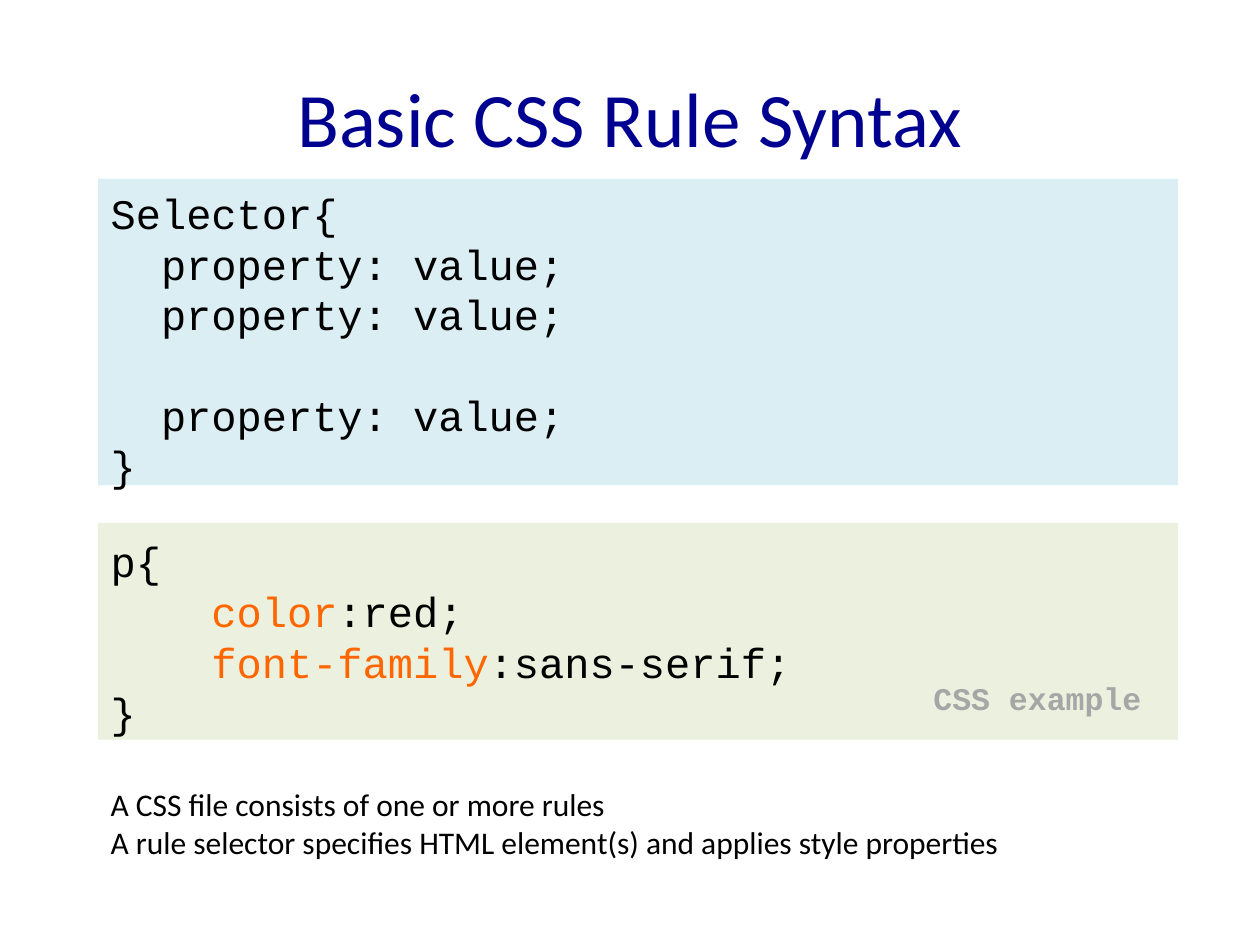
import pptx
import pptx.dml.color
import pptx.enum.shapes
import pptx.enum.text
import pptx.util

Inches = pptx.util.Inches
Pt = pptx.util.Pt
ANCHOR = pptx.enum.text.MSO_ANCHOR
BLACK, ORANGE = "000000", "FF6600"
CODE_LINE = Pt(28.8)
CODE_INDENT = Inches(0.2)  # width of one 24 pt Courier New character


def rgb(value):
    return pptx.dml.color.RGBColor.from_string(value)


def write(shape, lines, color=BLACK, anchor=ANCHOR.TOP, **font_format):
    """Fill a shape with lines, each a list of (text, color or None) runs."""
    frame = shape.text_frame
    frame.word_wrap = True
    frame.vertical_anchor = anchor
    for number, line in enumerate(lines):
        paragraph = frame.paragraphs[0] if number == 0 else frame.add_paragraph()
        paragraph.alignment = pptx.enum.text.PP_ALIGN.LEFT
        for text, run_color in line:
            run = paragraph.add_run()
            run.text = text
            run.font.color.rgb = rgb(run_color or color)
            for name, value in font_format.items():
                setattr(run.font, name, value)
    return frame


presentation = pptx.Presentation()
presentation.slide_width = Inches(10)
presentation.slide_height = Inches(7.5)
slide = presentation.slides.add_slide(presentation.slide_layouts[6])

title = slide.shapes.add_textbox(Inches(0.5), Inches(0.3), Inches(9), Inches(1.25))
title_frame = write(title, [[("Basic CSS Rule Syntax", None)]], "000090",
                    ANCHOR.MIDDLE, name="Calibri", size=Pt(44))
title_frame.paragraphs[0].alignment = pptx.enum.text.PP_ALIGN.CENTER

declaration = [("property: value;", None)]
syntax = [[("Selector{", None)], declaration, declaration, declaration, [("}", None)]]
example = [
    [("p{", None)],
    [("color", ORANGE), (":red;", None)],
    [("font-family", ORANGE), (":sans-serif;", None)],
    [("}", None)],
]

# top, height, fill, top inset, indent in characters, lines
code_panels = [
    (1.42, 2.43, "DBEEF4", 0.07, 2, syntax),
    (4.15, 1.72, "EBF1DE", 0.1, 4, example),
]
code_frames = []
for top, height, fill, inset, indent, lines in code_panels:
    panel = slide.shapes.add_shape(
        pptx.enum.shapes.MSO_SHAPE.RECTANGLE,
        Inches(0.78), Inches(top), Inches(8.57), Inches(height))
    panel.shadow.inherit = False
    panel.fill.solid()
    panel.fill.fore_color.rgb = rgb(fill)
    panel.line.fill.background()
    code = write(panel, lines, name="Courier New", size=Pt(24))
    code.margin_top = Inches(inset)
    code.margin_bottom = 0
    for paragraph in code.paragraphs:
        paragraph.line_spacing = CODE_LINE
    for paragraph in code.paragraphs[1:-1]:
        paragraph._p.get_or_add_pPr().set("marL", str(indent * CODE_INDENT))
    code_frames.append(code)

# The last declaration of the syntax stands one line apart.
code_frames[0].paragraphs[3].space_before = CODE_LINE

example_label = slide.shapes.add_textbox(
    Inches(7.31), Inches(5.34), Inches(1.87), Inches(0.4))
write(example_label, [[("CSS example", None)]], "A6A6A6",
      name="Courier New", size=Pt(18), bold=True)

summary = slide.shapes.add_textbox(
    Inches(0.78), Inches(6.18), Inches(7.33), Inches(0.71))
write(summary, [
    [("A CSS file consists of one or more rules", None)],
    [("A rule selector specifies HTML element(s) and applies style properties", None)],
], name="Calibri", size=Pt(18))

presentation.save("out.pptx")
